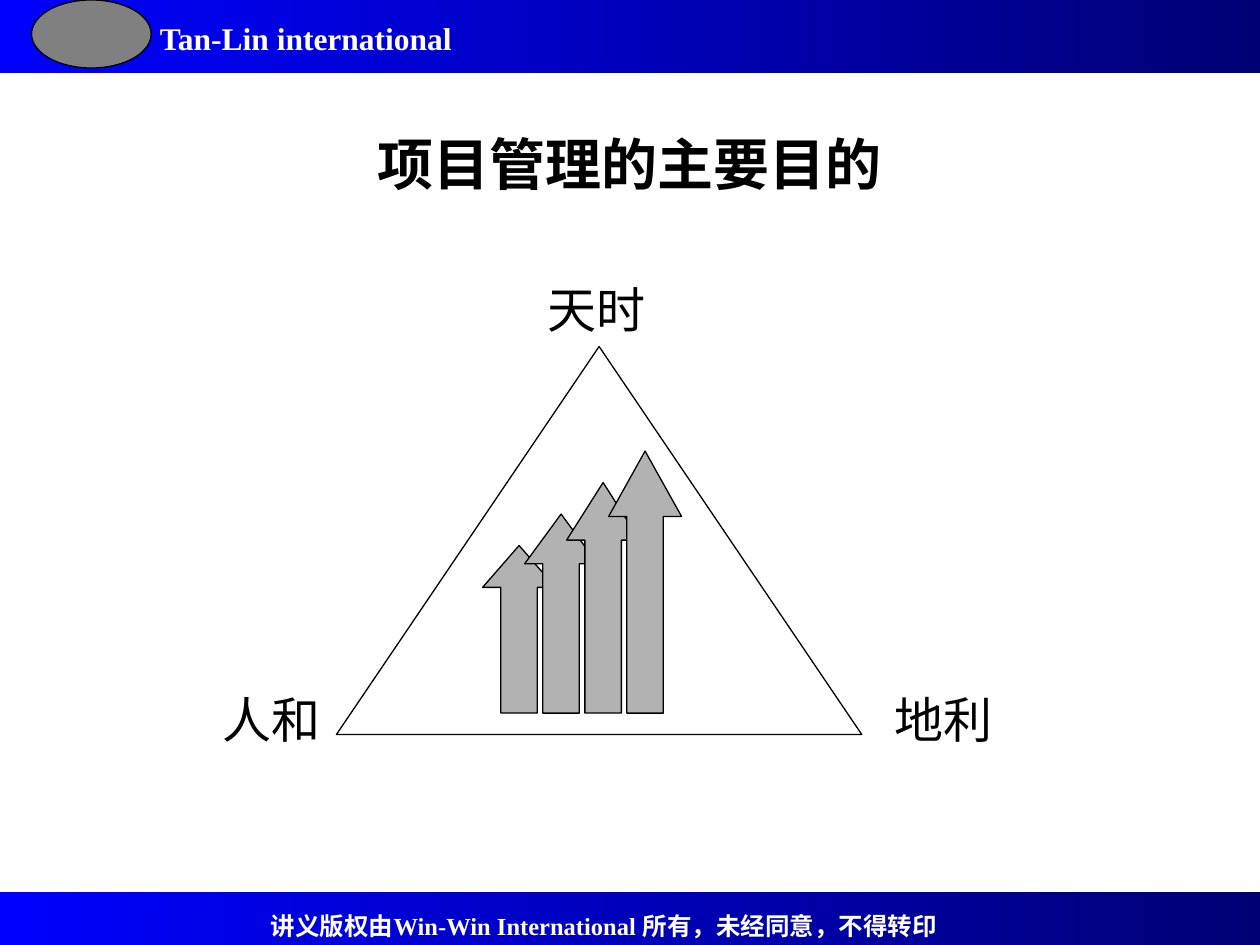
from pptx import Presentation
from pptx.dml.color import RGBColor
from pptx.enum.shapes import MSO_SHAPE as Kind
from pptx.enum.text import MSO_ANCHOR as Anchor, PP_ALIGN as Align
from pptx.util import Inches, Pt


def tint(code):
    """Return the colour of a hex string."""
    return RGBColor.from_string(code)


def draw(slide, kind, box, fill=None, line="000000"):
    """Add a flat shape with an optional fill and line."""
    shape = slide.shapes.add_shape(kind, *map(Inches, box))
    shape.shadow.inherit = False
    if fill:
        shape.fill.solid()
        shape.fill.fore_color.rgb = tint(fill)
    else:
        shape.fill.background()
    if line:
        shape.line.color.rgb = tint(line)
        shape.line.width = Pt(0.75)
    else:
        shape.line.fill.background()
    return shape


def write(slide, box, text, size, color="000000", bold=False, wrap=True):
    """Add a text box with one styled paragraph."""
    frame = slide.shapes.add_textbox(*map(Inches, box)).text_frame
    frame.word_wrap = wrap
    frame.text = text
    font = frame.paragraphs[0].runs[0].font
    font.name = "Times New Roman"
    font.size = Pt(size)
    font.bold = bold
    font.color.rgb = tint(color)
    return frame


def add_band(slide, box, text, size, inset):
    """Add a blue gradient band with its white text box inset."""
    left, top, _, _ = box
    band = draw(slide, Kind.RECTANGLE, box, line=None)
    band.fill.gradient()
    band.fill.gradient_angle = 0
    for stop, code in zip(band.fill.gradient_stops, ("0000FF", "000075")):
        stop.color.rgb = tint(code)
    dx, dy, wide, high = inset
    write(slide, (left + dx, top + dy, wide, high), text, size,
          "FFFFFF", True, False)


def add_title(slide, box, text):
    """Add the centred slide title."""
    frame = write(slide, box, text, 32, bold=True)
    frame.vertical_anchor = Anchor.MIDDLE
    frame.paragraphs[0].alignment = Align.CENTER


def add_arrows(slide, box, count):
    """Add overlapping arrows that rise in equal steps to the box top."""
    left, top, wide, high = box
    width, rise = 0.58, 0.25
    step = (wide - width) / (count - 1)
    for i in range(count):
        drop = rise * (count - 1 - i)
        tall = high - drop
        spot = (left + i * step, top + drop, width, tall)
        arrow = draw(slide, Kind.UP_ARROW, spot, "B2B2B2")
        arrow.adjustments[1] = tall / 4 / width


def add_model(slide, box):
    """Add the triangle, its arrows and its corner labels."""
    left, top, wide, high = box
    draw(slide, Kind.ISOSCELES_TRIANGLE, box)
    add_arrows(slide, (left + 1.16, top + 0.83, 1.58, 2.08), 4)
    labels = (("人和", -1, 2.67), ("地利", wide + 0.16, 2.67),
              ("天时", 1.58, -0.58))
    for text, dx, dy in labels:
        write(slide, (left + dx, top + dy, 1.17, 0.57), text, 28)


def main():
    """Build and save the slide."""
    deck = Presentation()
    deck.slide_width, deck.slide_height = Inches(10), Inches(7.5)
    slide = deck.slides.add_slide(deck.slide_layouts[6])
    add_band(slide, (0, 0, 10, 0.58), "Tan-Lin international", 18,
             (1.17, 0.1, 2.65, 0.4))
    add_band(slide, (0, 7.08, 10, 0.42),
             "讲义版权由Win-Win International 所有，未经同意，不得转印", 14,
             (2.05, 0.1, 5.59, 0.34))
    add_title(slide, (0.75, 0.67, 8.5, 1.25), "项目管理的主要目的")
    add_model(slide, (2.67, 2.75, 4.17, 3.08))
    draw(slide, Kind.OVAL, (0.25, 0, 0.95, 0.54), "808080")
    deck.save("out.pptx")


if __name__ == "__main__":
    main()
